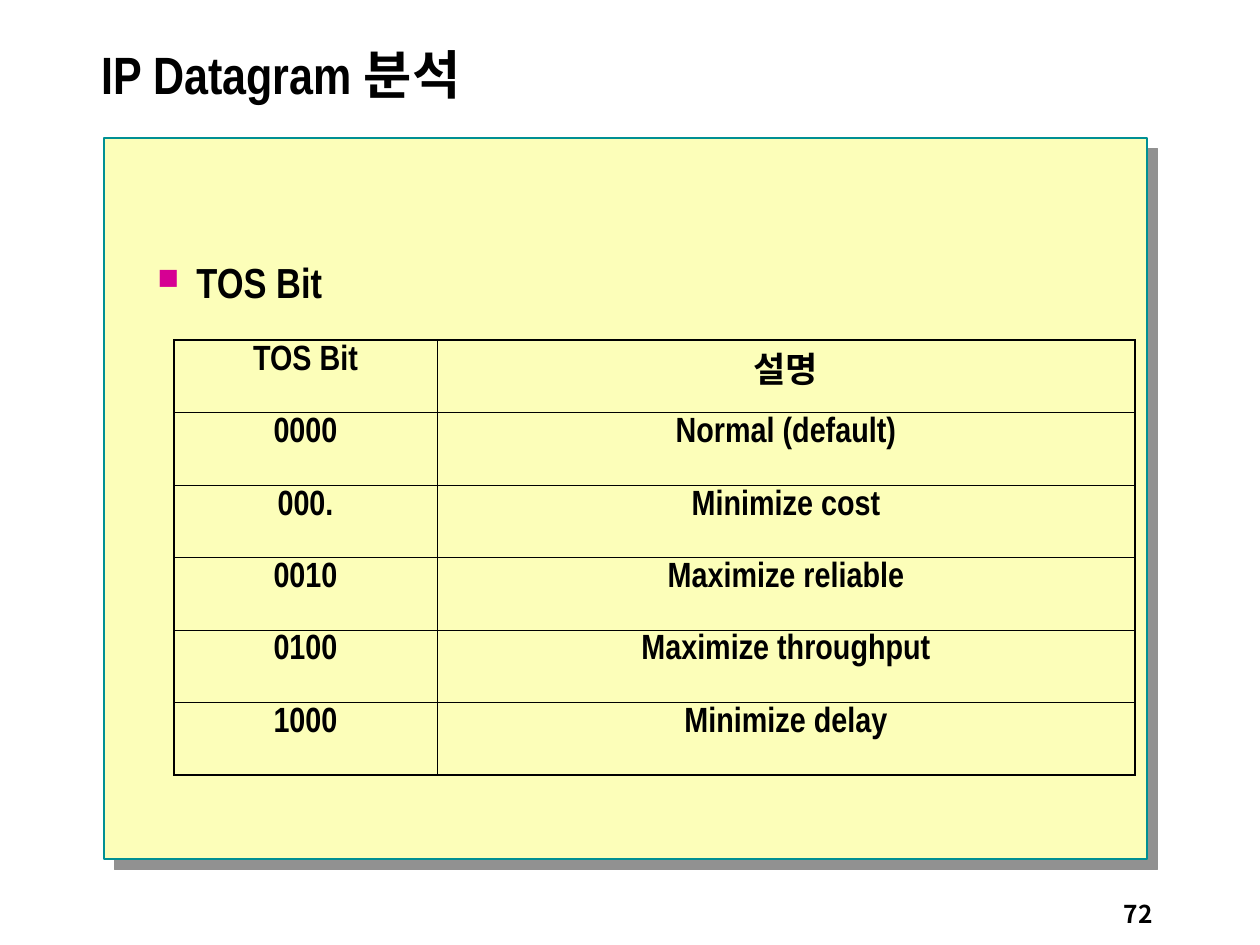
from lxml import etree
from pptx import Presentation
from pptx.dml.color import RGBColor
from pptx.enum.shapes import MSO_SHAPE
from pptx.enum.text import MSO_ANCHOR, PP_ALIGN
from pptx.oxml import parse_xml
from pptx.oxml.ns import nsdecls, qn
from pptx.util import Pt

PX = 914400 // 126
LATIN, HANGUL = "Arial Narrow", "Noto Sans CJK KR"
BLACK = RGBColor(0x00, 0x00, 0x00)
CREAM = RGBColor(0xFC, 0xFE, 0xB9)
TEAL = RGBColor(0x00, 0x90, 0x94)
GRAY = RGBColor(0x91, 0x91, 0x91)
MAGENTA = RGBColor(0xD6, 0x00, 0x93)
RECTANGLE = MSO_SHAPE.RECTANGLE
TOP, MIDDLE, BOTTOM = MSO_ANCHOR.TOP, MSO_ANCHOR.MIDDLE, MSO_ANCHOR.BOTTOM
LEFT, CENTER, RIGHT = PP_ALIGN.LEFT, PP_ALIGN.CENTER, PP_ALIGN.RIGHT


def write(frame, text, size, align=LEFT, spacing=1.0, latin=LATIN):
    paragraph = frame.paragraphs[0]
    paragraph.text = text
    paragraph.alignment = align
    paragraph.line_spacing = spacing
    for run in paragraph.runs:
        font = run.font
        font.size, font.bold, font.name = Pt(size), True, latin
        font.color.rgb = BLACK
        etree.SubElement(run._r.get_or_add_rPr(), qn("a:ea"), typeface=HANGUL)
    return paragraph


def add_text(x, y, width, height, anchor, *text_args):
    box = slide.shapes.add_textbox(x * PX, y * PX, width * PX, height * PX)
    box.text_frame.word_wrap = True
    box.text_frame.vertical_anchor = anchor
    return write(box.text_frame, *text_args)


prs = Presentation()
prs.slide_width, prs.slide_height = 1260 * PX, 945 * PX
slide = prs.slides.add_slide(prs.slide_layouts[6])

# Panel with a hard offset shadow
panel = slide.shapes.add_shape(RECTANGLE, 104 * PX, 138 * PX, 1043 * PX, 721 * PX)
panel.fill.solid()
panel.fill.fore_color.rgb = CREAM
panel.line.color.rgb = TEAL
panel.line.width = Pt(1)
panel.shadow.inherit = False
panel._element.spPr.find(qn("a:effectLst")).append(parse_xml(
    f'<a:outerShdw {nsdecls("a")} blurRad="0" dist="{Pt(8.5)}" dir="2700000" '
    f'algn="ctr" rotWithShape="0"><a:srgbClr val="{GRAY}"/></a:outerShdw>'))

# Page number and title
add_text(903, 872, 262, 63, BOTTOM, "72", 14, RIGHT, 1.0, HANGUL)
add_text(89, 21, 1129, 116, MIDDLE, "IP Datagram 분석", 30, LEFT, 0.8)

# Bulleted heading
heading = add_text(145, 256, 989, 591, TOP, "TOS Bit", 24, LEFT, 0.9)
heading_props = heading._p.get_or_add_pPr()
heading_props.set("marL", str(39 * PX))
heading_props.set("indent", str(-39 * PX))
for bullet_xml in (
    f'<a:buClr {nsdecls("a")}><a:srgbClr val="{MAGENTA}"/></a:buClr>',
    f'<a:buSzPct {nsdecls("a")} val="70000"/>',
    f'<a:buChar {nsdecls("a")} char="■"/>',
):
    heading_props.append(parse_xml(bullet_xml))

# TOS table
tos_rows = [
    ("TOS Bit", "설명"),
    ("0000", "Normal (default)"),
    ("000.", "Minimize cost"),
    ("0010", "Maximize reliable"),
    ("0100", "Maximize throughput"),
    ("1000", "Minimize delay"),
]
column_widths = (263, 698)
table_height = 435
last_row, last_column = len(tos_rows) - 1, len(column_widths) - 1
tos_table = slide.shapes.add_table(
    len(tos_rows), len(column_widths), 174 * PX, 340 * PX,
    sum(column_widths) * PX, table_height * PX).table
tos_table.first_row = tos_table.horz_banding = False
for column, width in zip(tos_table.columns, column_widths):
    column.width = width * PX
for row in tos_table.rows:
    row.height = table_height * PX // len(tos_rows)

for r, labels in enumerate(tos_rows):
    for c, label in enumerate(labels):
        cell = tos_table.cell(r, c)
        write(cell.text_frame, label, 20, CENTER, 0.9)
        cell.vertical_anchor = TOP
        # Outer edges are heavier than the inner grid
        outer_edges = {"lnL": c == 0, "lnR": c == last_column,
                       "lnT": r == 0, "lnB": r == last_row}
        cell_props = cell._tc.get_or_add_tcPr()
        for edge, is_outer in outer_edges.items():
            weight = Pt(1.08 if is_outer else 0.45)
            cell_props.append(parse_xml(
                f'<a:{edge} {nsdecls("a")} w="{weight}"><a:solidFill>'
                f'<a:srgbClr val="{BLACK}"/></a:solidFill></a:{edge}>'))
        cell.fill.background()

prs.save("out.pptx")
